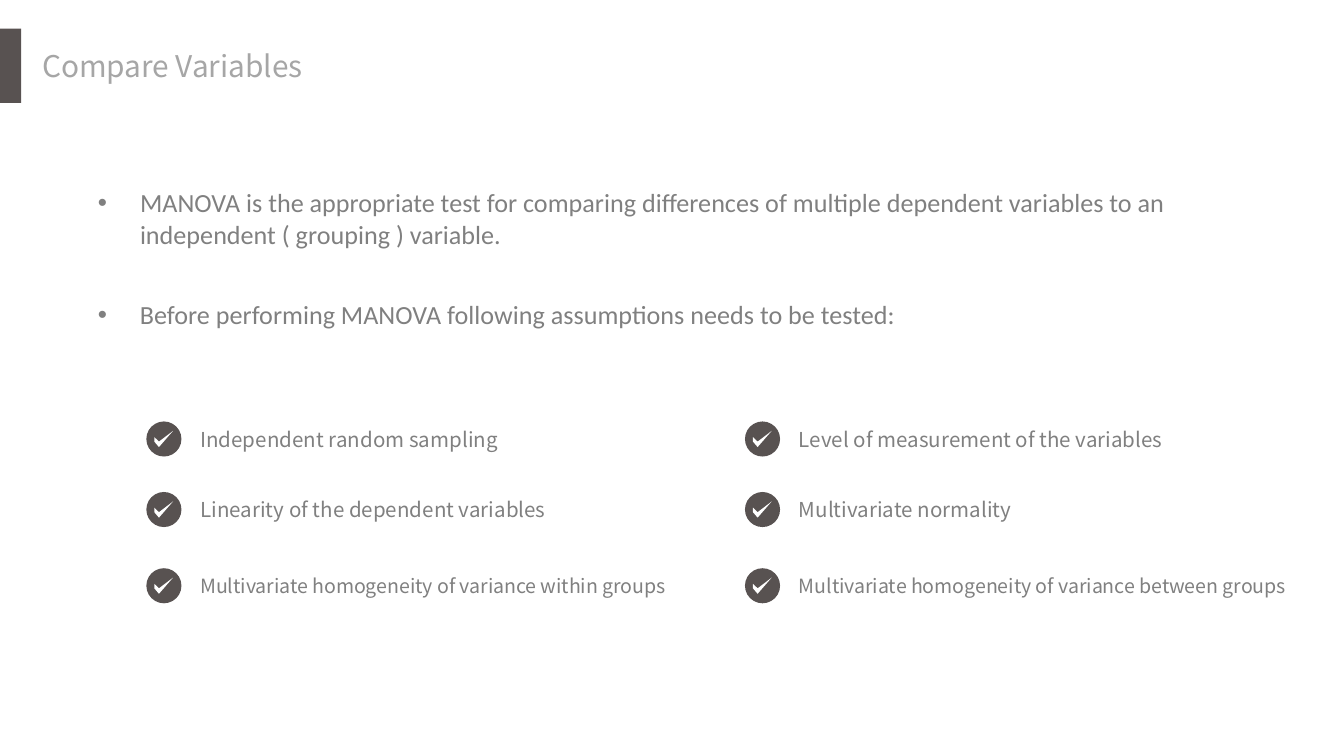
import pptx
import pptx.dml.color
import pptx.enum.shapes
import pptx.enum.text
import pptx.oxml
import pptx.oxml.ns
import pptx.util

Pt = pptx.util.Pt
DARK = pptx.dml.color.RGBColor(0x58, 0x52, 0x51)
WHITE = pptx.dml.color.RGBColor(0xFF, 0xFF, 0xFF)
TITLE_GRAY = pptx.dml.color.RGBColor(0xA6, 0xA6, 0xA6)
TEXT_GRAY = pptx.dml.color.RGBColor(0x80, 0x80, 0x80)
HEADING_FONT = "Noto Sans CJK SC"
BODY_FONT = "Calibri"

BADGE_SIZE = 18.8
LABEL_OFFSET = 28.9
LABEL_HEIGHT = 36
TICK = [(4.3, 10.8), (6.8, 13.7), (13.7, 5.8), (14.4, 5), (6.8, 10.8), (4.3, 8.4)]
COLUMNS = [(78.4, 281.5), (399.1, 283.5)]
ROWS = [
    (235.2, 11, ("Independent random sampling", "Level of measurement of the variables")),
    (273, 11, ("Linearity of the dependent variables", "Multivariate normality")),
    (313.8, 10.5, ("Multivariate homogeneity of variance within groups",
                   "Multivariate homogeneity of variance between groups")),
]
BULLETS = [
    (96.5, 627, 41, "MANOVA is the appropriate test for comparing differences of multiple "
                    "dependent variables to an independent ( grouping ) variable. "),
    (156.4, 601, 24.5, "Before performing MANOVA following assumptions needs to be tested:"),
]


def paint(shape, color):
    shape.shadow.inherit = False
    shape.fill.solid()
    shape.fill.fore_color.rgb = color
    shape.line.fill.background()


def add_filled_shape(slide, kind, left, top, width, height, color):
    shape = slide.shapes.add_shape(kind, Pt(left), Pt(top), Pt(width), Pt(height))
    paint(shape, color)


def add_text(slide, left, top, width, height, text, size, font, color, wrap=True):
    shape = slide.shapes.add_textbox(Pt(left), Pt(top), Pt(width), Pt(height))
    frame = shape.text_frame
    frame.word_wrap = wrap
    paragraph = frame.paragraphs[0]
    paragraph.text = text
    paragraph.font.size = Pt(size)
    paragraph.font.name = font
    paragraph.font.color.rgb = color
    return frame


def add_title(slide, text):
    frame = add_text(slide, 17, 23, 155.5, 25.2, text, 16, HEADING_FONT, TITLE_GRAY, wrap=False)
    frame.margin_left = frame.margin_right = Pt(5.6)
    frame.margin_top = frame.margin_bottom = Pt(2.8)


def add_bullet(slide, top, width, height, text):
    frame = add_text(slide, 45.4, top, width, height, text, 14, BODY_FONT, TEXT_GRAY)
    properties = frame.paragraphs[0]._p.get_or_add_pPr()
    properties.set("marL", str(Pt(22.5)))
    properties.set("indent", str(-Pt(22.5)))
    namespace = pptx.oxml.ns.nsdecls("a")
    bullet_font = pptx.oxml.parse_xml(f'<a:buFont {namespace} typeface="Arial"/>')
    bullet = pptx.oxml.parse_xml(f'<a:buChar {namespace} char="&#8226;"/>')
    properties.insert_element_before(bullet_font, "a:buChar", "a:tabLst", "a:defRPr", "a:extLst")
    properties.insert_element_before(bullet, "a:tabLst", "a:defRPr", "a:extLst")


def add_check_badge(slide, left, top):
    add_filled_shape(slide, pptx.enum.shapes.MSO_SHAPE.OVAL,
                     left, top, BADGE_SIZE, BADGE_SIZE, DARK)
    points = [(Pt(left + x), Pt(top + y)) for x, y in TICK]
    builder = slide.shapes.build_freeform(*points[0])
    builder.add_line_segments(points[1:], close=True)
    paint(builder.convert_to_shape(), WHITE)


def add_assumption(slide, left, middle, width, text, size):
    add_check_badge(slide, left, middle - BADGE_SIZE / 2)
    frame = add_text(slide, left + LABEL_OFFSET, middle - LABEL_HEIGHT / 2,
                     width, LABEL_HEIGHT, text, size, HEADING_FONT, TEXT_GRAY)
    frame.margin_left = 0
    frame.vertical_anchor = pptx.enum.text.MSO_ANCHOR.MIDDLE


def main():
    presentation = pptx.Presentation()
    presentation.slide_width = Pt(720)
    presentation.slide_height = Pt(405)
    slide = presentation.slides.add_slide(presentation.slide_layouts[6])
    add_filled_shape(slide, pptx.enum.shapes.MSO_SHAPE.RECTANGLE, 0, 15.4, 11.3, 39.7, DARK)
    add_title(slide, "Compare Variables")
    for middle, size, labels in ROWS:
        for (left, width), label in zip(COLUMNS, labels):
            add_assumption(slide, left, middle, width, label, size)
    for bullet in BULLETS:
        add_bullet(slide, *bullet)
    presentation.save("out.pptx")


main()
